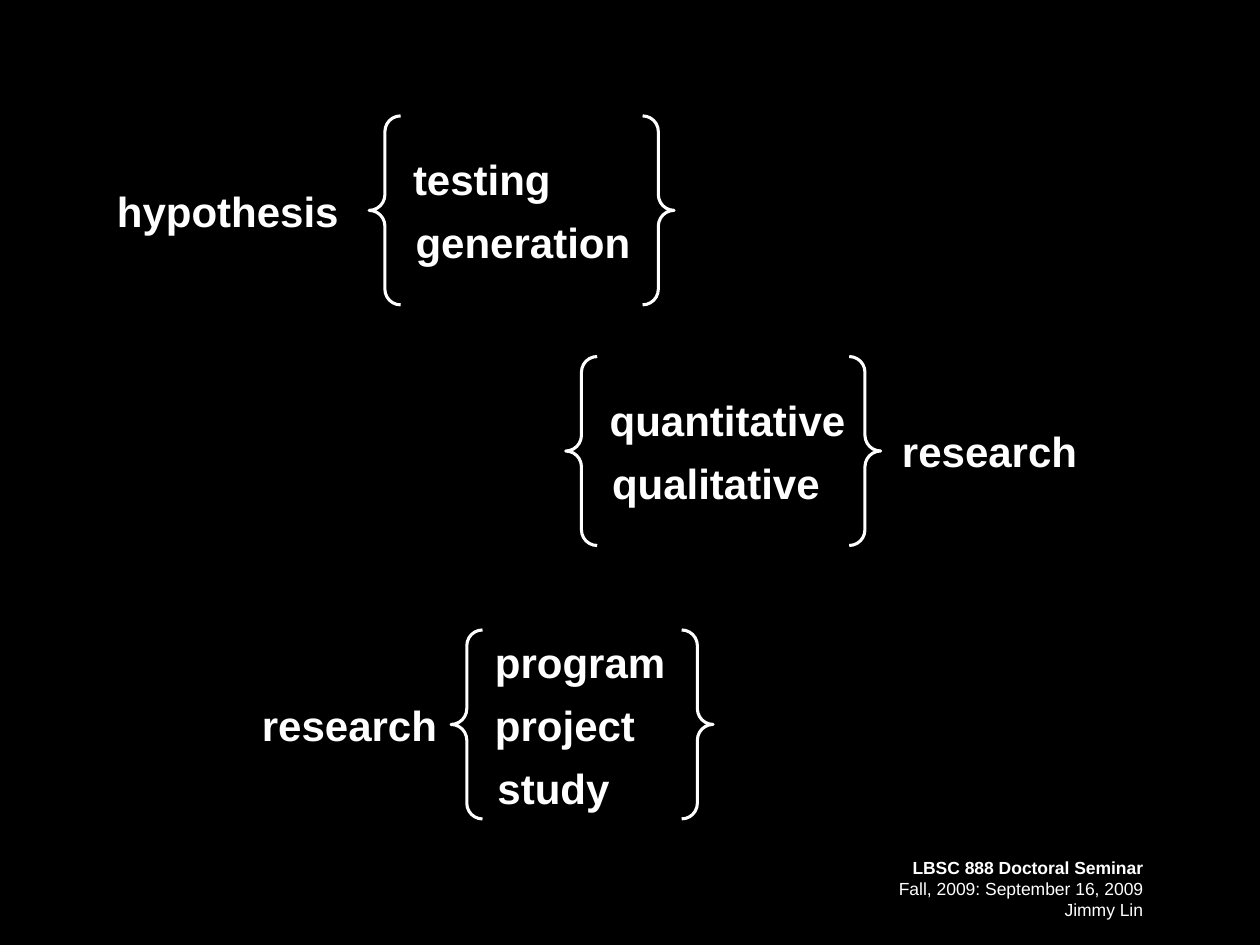
import pptx
import pptx.util
import pptx.dml.color
import pptx.enum.shapes
import pptx.enum.text

Inches = pptx.util.Inches
Align = pptx.enum.text.PP_ALIGN

# Content: brace is (left, top, width); label and options are (text, width)
GROUPS = [
    {"label": ("hypothesis", 2.02), "label_left": 0.83, "brace": (2.93, 0.92, 2.42),
     "options": [("testing", 1.3), ("generation", 1.92)]},
    {"label": ("research", 1.61), "label_left": 7.06, "brace": (4.49, 2.83, 2.5),
     "options": [("quantitative", 2.09), ("qualitative", 1.87)]},
    {"label": ("research", 1.61), "label_left": 1.98, "brace": (3.58, 5, 2.08),
     "options": [("program", 1.57), ("project", 1.32), ("study", 1.1)]},
]
COURSE = ["LBSC 888 Doctoral Seminar", "Fall, 2009: September 16, 2009", "Jimmy Lin"]

THEME = {
    "font": "Arial",
    "background": pptx.dml.color.RGBColor(0, 0, 0),
    "ink": pptx.dml.color.RGBColor(255, 255, 255),
    "word_size": 24,
    "course_size": 10,
    "brace_line": 1.75,
}
BRACE_HEIGHT = 1.5
ROW = 0.5
OPTION_INSET = 0.25
LAST_SHIFT = 0.02


def add_text(slide, lines, left, top, width, height=ROW, size=THEME["word_size"],
             bold_lines=1, align=Align.LEFT):
    box = slide.shapes.add_textbox(Inches(left), Inches(top), Inches(width), Inches(height))
    frame = box.text_frame
    frame.word_wrap = False
    frame.auto_size = pptx.enum.text.MSO_AUTO_SIZE.SHAPE_TO_FIT_TEXT
    for index, line in enumerate(lines):
        paragraph = frame.paragraphs[0] if index == 0 else frame.add_paragraph()
        paragraph.alignment = align
        run = paragraph.add_run()
        run.text = line
        run.font.name = THEME["font"]
        run.font.size = pptx.util.Pt(size)
        run.font.bold = index < bold_lines
        run.font.color.rgb = THEME["ink"]


def add_brace(slide, left, top, width):
    brace = slide.shapes.add_shape(
        pptx.enum.shapes.MSO_SHAPE.DOUBLE_BRACE,
        Inches(left), Inches(top), Inches(width), Inches(BRACE_HEIGHT))
    brace.shadow.inherit = False
    brace.fill.background()
    brace.line.color.rgb = THEME["ink"]
    brace.line.width = pptx.util.Pt(THEME["brace_line"])


def add_group(slide, group):
    left, top, width = group["brace"]
    middle = top + BRACE_HEIGHT / 2

    # Label beside the brace, centred on its point
    label, label_width = group["label"]
    add_text(slide, [label], group["label_left"], middle - ROW / 2, label_width)

    # Options stacked around the middle, the last one nudged right
    options = group["options"]
    first_top = middle - ROW * len(options) / 2
    for row, (option, option_width) in enumerate(options):
        shift = LAST_SHIFT if row == len(options) - 1 else 0
        add_text(slide, [option], left + OPTION_INSET + shift,
                 first_top + row * ROW, option_width)

    add_brace(slide, left, top, width)


def main():
    deck = pptx.Presentation()
    deck.slide_width, deck.slide_height = Inches(10), Inches(7.5)
    slide = deck.slides.add_slide(deck.slide_layouts[6])
    slide.background.fill.solid()
    slide.background.fill.fore_color.rgb = THEME["background"]

    for group in GROUPS:
        add_group(slide, group)

    # Course details
    add_text(slide, COURSE, 7.02, 6.75, 2.15, height=0.61,
             size=THEME["course_size"], align=Align.RIGHT)

    deck.save("out.pptx")


if __name__ == "__main__":
    main()
